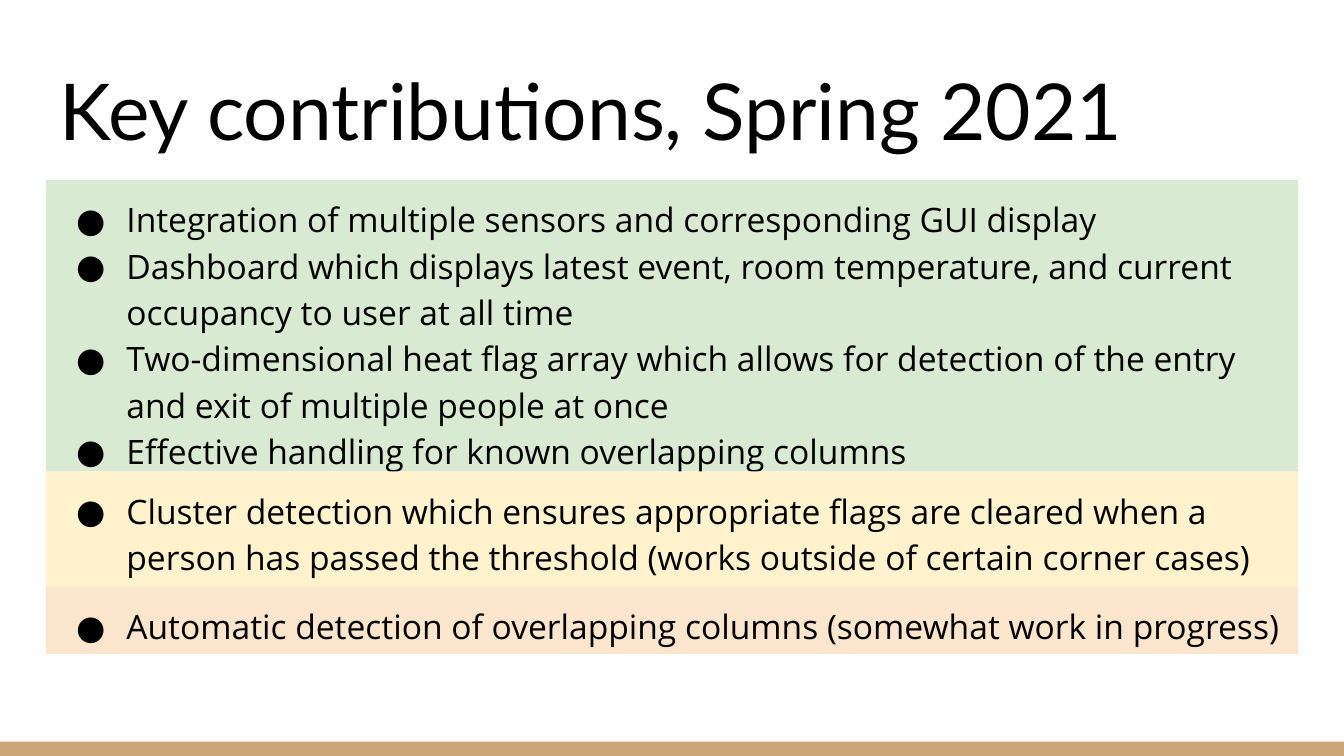
from dataclasses import dataclass

from lxml.etree import SubElement
from pptx import Presentation
from pptx.dml.color import RGBColor
from pptx.enum.shapes import MSO_SHAPE as Shape
from pptx.enum.text import MSO_ANCHOR as Anchor
from pptx.oxml.ns import qn
from pptx.util import Cm, Pt


@dataclass(frozen=True)
class Theme:
    text: str = "000000"
    footer: str = "CCA677"
    done: str = "D9EAD3"
    mostly_done: str = "FFF2CC"
    in_progress: str = "FCE5CD"
    title_font: str = "Lato"
    body_font: str = "Open Sans"
    title_size: int = 42
    body_size: int = 18


THEME = Theme()
SLIDE_WIDTH, SLIDE_HEIGHT = Cm(25.4), Cm(14.29)
LEFT = Cm(0.87)
CONTENT_WIDTH = SLIDE_WIDTH - 2 * LEFT
PANELS_TOP = Cm(3.4)
FOOTER_HEIGHT = Cm(0.27)

PANELS = [
    (THEME.done, Cm(5.51), [
        "Integration of multiple sensors and corresponding GUI display",
        "Dashboard which displays latest event, room temperature, "
        "and current occupancy to user at all time",
        "Two-dimensional heat flag array which allows for detection "
        "of the entry and exit of multiple people at once",
        "Effective handling for known overlapping columns",
    ]),
    (THEME.mostly_done, Cm(2.18), [
        "Cluster detection which ensures appropriate flags are cleared when a "
        "person has passed the threshold (works outside of certain corner cases)",
    ]),
    (THEME.in_progress, Cm(1.27), [
        "Automatic detection of overlapping columns (somewhat work in progress)",
    ]),
]


def fill_shape(shape, color):
    shape.fill.solid()
    shape.fill.fore_color.rgb = RGBColor.from_string(color)


def add_text(slide, top, height, text, font_name, size, anchor=Anchor.TOP):
    box = slide.shapes.add_textbox(LEFT, top, CONTENT_WIDTH, height)
    frame = box.text_frame
    frame.word_wrap = True
    frame.vertical_anchor = anchor
    frame.margin_left = frame.margin_right = Cm(0.25)
    frame.margin_top = frame.margin_bottom = Cm(0.25)
    frame.text = text
    for paragraph in frame.paragraphs:
        for run in paragraph.runs:
            run.font.name = font_name
            run.font.size = Pt(size)
            run.font.color.rgb = RGBColor.from_string(THEME.text)
    return box


def add_bullet(paragraph):
    paragraph.line_spacing = 1.15
    properties = paragraph._p.get_or_add_pPr()
    properties.set("marL", str(Cm(1.27)))
    properties.set("indent", str(-Cm(0.95)))
    color = SubElement(properties, qn("a:buClr"))
    SubElement(color, qn("a:srgbClr"), val=THEME.text)
    SubElement(properties, qn("a:buFont"), typeface=THEME.body_font)
    SubElement(properties, qn("a:buChar"), char="●")


def add_panel(slide, top, height, color, items):
    panel = add_text(slide, top, height, "\n".join(items),
                     THEME.body_font, THEME.body_size)
    fill_shape(panel, color)
    for paragraph in panel.text_frame.paragraphs:
        add_bullet(paragraph)


def add_footer(slide):
    footer = slide.shapes.add_shape(
        Shape.RECTANGLE, 0, SLIDE_HEIGHT - FOOTER_HEIGHT, SLIDE_WIDTH, FOOTER_HEIGHT)
    footer.shadow.inherit = False
    footer.line.fill.background()
    fill_shape(footer, THEME.footer)


def main():
    presentation = Presentation()
    presentation.slide_width = SLIDE_WIDTH
    presentation.slide_height = SLIDE_HEIGHT
    slide = presentation.slides.add_slide(presentation.slide_layouts[6])

    add_footer(slide)
    add_text(slide, Cm(0.89), Cm(2.31), "Key contributions, Spring 2021",
             THEME.title_font, THEME.title_size, Anchor.BOTTOM)
    top = PANELS_TOP
    for color, height, items in PANELS:
        add_panel(slide, top, height, color, items)
        top += height

    presentation.save("out.pptx")


if __name__ == "__main__":
    main()
